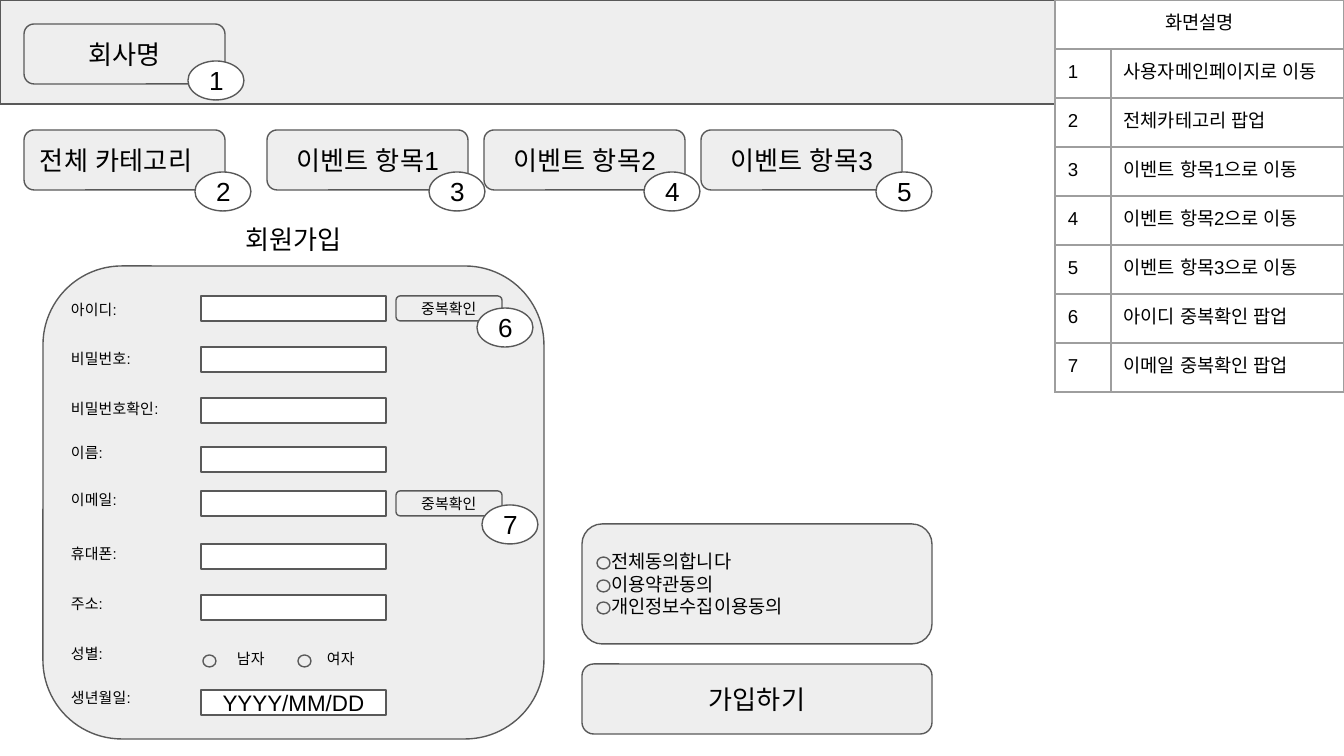
"""Build the sign-up screen wireframe with its numbered screen notes."""
from dataclasses import dataclass
from typing import Optional

from lxml import etree
from pptx import Presentation
from pptx import util as u
from pptx.dml.color import RGBColor
from pptx.enum import shapes, text
from pptx.oxml import ns

SCALE = 914400 / 134.4
INSET = 13
COLOURS = {"panel": "EEEEEE", "field": "FFFFFF", "outline": "595959",
           "text": "000000", "grid": "9E9E9E"}
KIND = shapes.MSO_SHAPE
ALIGN = text.PP_ALIGN


@dataclass
class Block:
    x: int
    y: int
    w: int
    h: int
    label: str = ""
    size: int = 14
    kind: int = KIND.ROUNDED_RECTANGLE
    fill: str = "panel"
    align: int = ALIGN.CENTER
    left_inset: int = INSET


@dataclass
class FormRow:
    label: str
    label_y: int
    field_y: Optional[int]
    value: str = ""


def px(length: float) -> u.Emu:
    return u.Emu(round(length * SCALE))


def colour(name: str) -> RGBColor:
    return RGBColor.from_string(COLOURS[name])


def write(frame, label: str, size: int, align: int) -> None:
    frame.text = label
    for paragraph in frame.paragraphs:
        paragraph.alignment = align
        for run in paragraph.runs:
            run.font.size = u.Pt(size)
            run.font.bold = False
            run.font.name = "Arial"
            run.font.color.rgb = colour("text")
            etree.SubElement(run.font._element, ns.qn("a:ea"), typeface="Arial")


def set_insets(holder, left: int = INSET) -> None:
    holder.margin_left = px(left)
    holder.margin_right = holder.margin_top = holder.margin_bottom = px(INSET)


def draw_block(slide, block: Block) -> None:
    shape = slide.shapes.add_shape(
        block.kind, px(block.x), px(block.y), px(block.w), px(block.h))
    shape.shadow.inherit = False
    shape.fill.solid()
    shape.fill.fore_color.rgb = colour(block.fill)
    shape.line.color.rgb = colour("outline")
    shape.line.width = u.Pt(0.75)
    if block.label:
        frame = shape.text_frame
        frame.word_wrap = True
        frame.vertical_anchor = text.MSO_ANCHOR.MIDDLE
        set_insets(frame, block.left_inset)
        write(frame, block.label, block.size, block.align)


def draw_label(slide, x: int, y: int, w: int, label: str) -> None:
    frame = slide.shapes.add_textbox(px(x), px(y), px(w), px(46)).text_frame
    frame.word_wrap = True
    set_insets(frame)
    write(frame, label, 8, ALIGN.LEFT)


def draw_title(slide, label: str) -> None:
    title = slide.shapes.title
    title.left, title.top, title.width, title.height = map(px, (187, 210, 213, 59))
    frame = title.text_frame
    frame.auto_size = text.MSO_AUTO_SIZE.NONE
    frame.vertical_anchor = text.MSO_ANCHOR.TOP
    set_insets(frame)
    write(frame, label, 14, ALIGN.CENTER)


def draw_cell(cell, label: str, align: int) -> None:
    set_insets(cell)
    cell.fill.background()
    write(cell.text_frame, label, 10, align)
    properties = cell._tc.get_or_add_tcPr()
    for position, side in enumerate(("lnL", "lnR", "lnT", "lnB")):
        border = etree.Element(ns.qn(f"a:{side}"), w=str(u.Pt(0.75)))
        paint = etree.SubElement(border, ns.qn("a:solidFill"))
        etree.SubElement(paint, ns.qn("a:srgbClr"), val=COLOURS["grid"])
        properties.insert(position, border)


def draw_notes(slide, heading: str, notes: list[str]) -> None:
    row_count = len(notes) + 1
    table = slide.shapes.add_table(
        row_count, 2, px(1055), px(0), px(289), px(49 * row_count)).table
    table.first_row = table.horz_banding = False
    for column, width in zip(table.columns, (56, 233)):
        column.width = px(width)
    for row in table.rows:
        row.height = px(49)
    table.cell(0, 0).merge(table.cell(0, 1))
    draw_cell(table.cell(0, 0), heading, ALIGN.CENTER)
    draw_cell(table.cell(0, 1), "", ALIGN.CENTER)
    for number, note in enumerate(notes, 1):
        draw_cell(table.cell(number, 0), str(number), ALIGN.LEFT)
        draw_cell(table.cell(number, 1), note, ALIGN.LEFT)


EVENTS = [f"이벤트 항목{number}" for number in (1, 2, 3)]
NOTES = ["사용자메인페이지로 이동", "전체카테고리 팝업",
         *[f"{event}으로 이동" for event in EVENTS],
         "아이디 중복확인 팝업", "이메일 중복확인 팝업"]
FORM = [
    FormRow("아이디", 292, 296),
    FormRow("비밀번호", 341, 347),
    FormRow("비밀번호확인", 391, 398),
    FormRow("이름", 435, 447),
    FormRow("이메일", 482, 491),
    FormRow("휴대폰", 536, 544),
    FormRow("주소", 586, 595),
    FormRow("성별", 636, None),
    FormRow("생년월일", 680, 690, "YYYY/MM/DD"),
]
CONSENTS = ["전체동의합니다", "이용약관동의", "개인정보수집이용동의"]
PANELS = [
    Block(43, 266, 501, 473),
    Block(0, 0, 1055, 104, kind=KIND.RECTANGLE),
    Block(24, 24, 201, 60, "회사명"),
    Block(24, 130, 201, 60, "전체 카테고리", align=ALIGN.LEFT),
    *[Block(267 + 217 * i, 130, 201, 60, event) for i, event in enumerate(EVENTS)],
    Block(582, 664, 350, 70, "가입하기"),
    Block(582, 524, 350, 120, "\n".join(CONSENTS), 10,
          align=ALIGN.LEFT, left_inset=24),
]
CHECK_BUTTONS = [Block(396, y, 106, 25, "중복확인", 8) for y in (296, 491)]
MARKERS = [(188, 61), (195, 172), (429, 172), (644, 172), (876, 172),
           (477, 308), (482, 505)]
GENDERS = [(203, 224, "남자"), (298, 314, "여자")]
RADIOS = [(x, 655) for x, _, _ in GENDERS] + [(597, y) for y in (557, 580, 602)]


def main() -> None:
    deck = Presentation()
    deck.slide_width, deck.slide_height = px(1344), px(756)
    slide = deck.slides.add_slide(deck.slide_layouts[5])
    draw_title(slide, "회원가입")
    for block in PANELS + CHECK_BUTTONS:
        draw_block(slide, block)
    for row in FORM:
        draw_label(slide, 58, row.label_y, 142, f"{row.label}:")
        if row.field_y is not None:
            draw_block(slide, Block(201, row.field_y, 185, 25, row.value, 12,
                                    KIND.RECTANGLE, "field"))
    for _, x, gender in GENDERS:
        draw_label(slide, x, 641, 65, gender)
    for x, y in RADIOS:
        draw_block(slide, Block(x, y, 13, 12, kind=KIND.OVAL))
    for number, (x, y) in enumerate(MARKERS, 1):
        draw_block(slide, Block(x, y, 56, 39, str(number),
                                kind=KIND.FLOWCHART_CONNECTOR, fill="field"))
    draw_notes(slide, "화면설명", NOTES)
    deck.save("out.pptx")


main()
